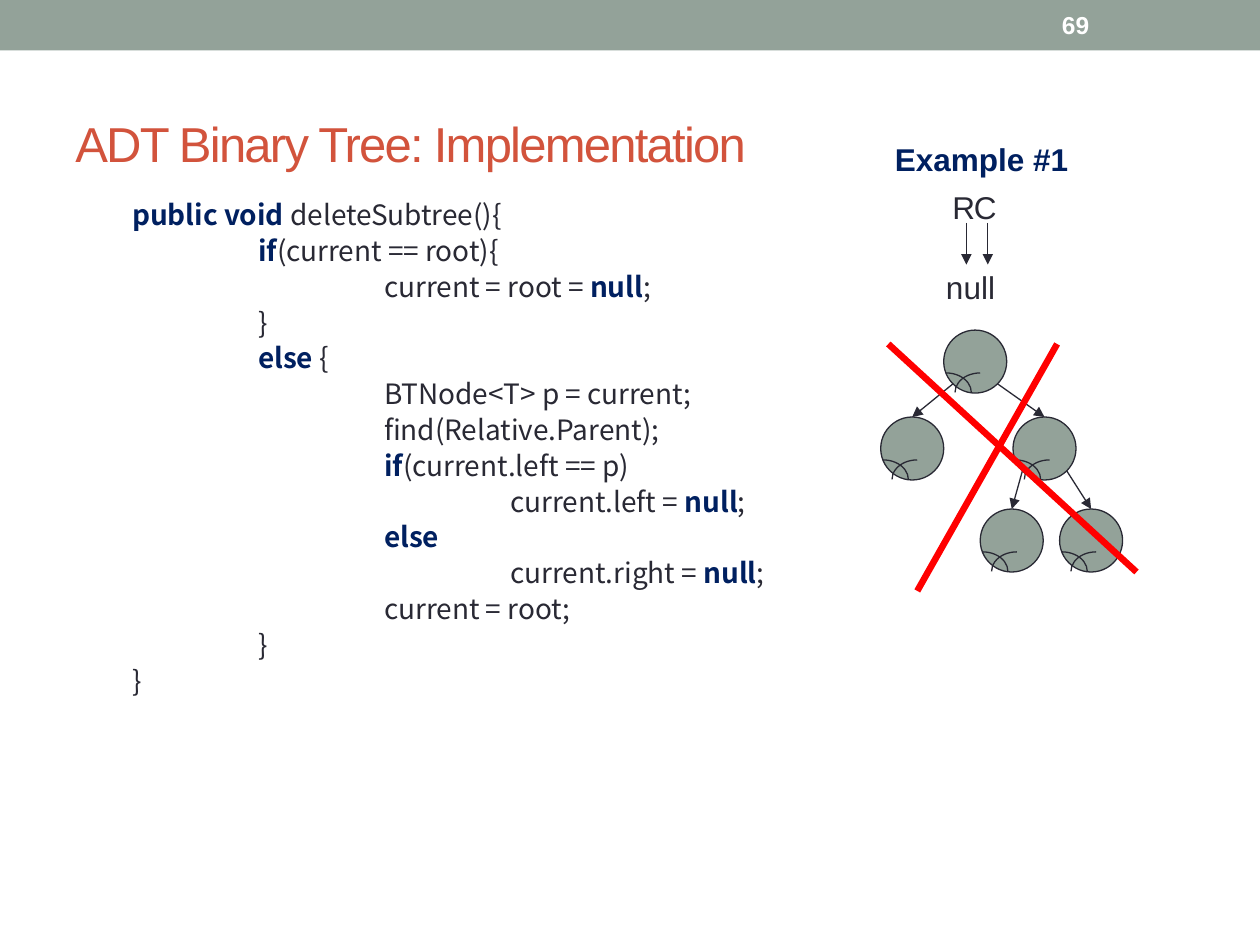
from lxml.etree import SubElement
from pptx import Presentation
from pptx.dml.color import RGBColor
from pptx.enum.shapes import MSO_CONNECTOR as LINE, MSO_SHAPE as SHAPE
from pptx.enum.text import MSO_ANCHOR as ANCHOR, PP_ALIGN as ALIGN
from pptx.oxml.ns import qn
from pptx.util import Inches, Pt

COLS, ROWS = 100, 75
CELL = Inches(0.1)
SAGE, INK, NAVY, RUST = "93A299", "292934", "002060", "D2533C"
WHITE, RED = "FFFFFF", "FF0000"
NODE = 5
CODE = [
    (1, "*public void *deleteSubtree(){"),
    (2, "*if*(current == root){"),
    (3, "current = root = *null*;"),
    (2, "}"),
    (2, "*else* {"),
    (3, "BTNode<T> p = current;"),
    (3, "find(Relative.Parent);"),
    (3, "*if*(current.left == p)"),
    (4, "current.left = *null*;"),
    (3, "*else*"),
    (4, "current.right = *null*;"),
    (3, "current = root;"),
    (2, "}"),
    (1, "}"),
]
TREE = {
    "root": (74.9, 26.2),
    "right": (80.4, 33.1),
    "right_left": (77.8, 40.4),
    "right_right": (84.1, 40.4),
    "left": (69.9, 33.1),
}
EDGES = [
    ("root", "right", 1),
    ("right", "right_left", -1),
    ("right", "right_right", 1),
    ("root", "left", -1),
]


def grid(*cells):
    """Turn grid columns and rows into slide lengths."""
    return [round(c * CELL) for c in cells]


def rgb(color):
    """Turn a hex string into a colour."""
    return RGBColor.from_string(color)


def style_run(r, size, color, bold=False, font="Arial"):
    """Set the font of a run."""
    r.font.size, r.font.name, r.font.bold = Pt(size), font, bold
    r.font.color.rgb = rgb(color)


def add_label(slide, box, text, size, color, bold=False, wrap=False,
              anchor=ANCHOR.TOP, align=ALIGN.LEFT, spacing=0):
    """Add a one-line text box."""
    tf = slide.shapes.add_textbox(*grid(*box)).text_frame
    tf.text, tf.word_wrap, tf.vertical_anchor = text, wrap, anchor
    p = tf.paragraphs[0]
    p.alignment = align
    r = p.runs[0]
    style_run(r, size, color, bold)
    if spacing:
        r.font._element.set("spc", str(spacing * 100))


def add_code(slide, box, lines):
    """Add tab-indented code whose starred words are bold keywords."""
    tf = slide.shapes.add_textbox(*grid(*box)).text_frame
    tf.word_wrap = True
    for i, (depth, line) in enumerate(lines):
        p = tf.paragraphs[0] if i == 0 else tf.add_paragraph()
        p.line_spacing, p.space_before = 0.9, Pt(3.2)
        pPr = p._p.get_or_add_pPr()
        pPr.set("marL", str(Inches(0.2)))
        pPr.set("indent", str(-Inches(0.2)))
        pPr.set("defTabSz", str(Inches(1)))
        for j, part in enumerate(("\t" * depth + line).split("*")):
            if part:
                r = p.add_run()
                r.text = part
                keyword = j % 2 == 1
                style_run(r, 16, NAVY if keyword else INK, keyword,
                          "Noto Sans CJK SC")


def add_figure(shapes, kind, box, fill=None, line=None):
    """Add a preset shape with a plain fill and outline."""
    sp = shapes.add_shape(kind, *grid(*box))
    sp.shadow.inherit = False
    if fill:
        sp.fill.solid()
        sp.fill.fore_color.rgb = rgb(fill)
    else:
        sp.fill.background()
    if line:
        sp.line.color.rgb, sp.line.width = rgb(line), Pt(0.75)
    else:
        sp.line.fill.background()
    return sp


def add_node(slide, left, top):
    """Add a tree node: a circle with two facing arcs."""
    shapes = slide.shapes.add_group_shape().shapes
    add_figure(shapes, SHAPE.OVAL, (left, top, NODE, NODE), SAGE, INK)
    add_figure(shapes, SHAPE.ARC, (left - 1.8, top + 3.4, 4, 3.1), line=INK)
    sp = add_figure(shapes, SHAPE.ARC, (left + 0.9, top + 3.4, 4, 3.1), line=INK)
    sp.adjustments[0], sp.adjustments[1] = 108, 162


def add_line(slide, start, end, color=INK, width=0.75, arrow=True):
    """Add a straight line, with an arrowhead at its end if wanted."""
    sp = slide.shapes.add_connector(LINE.STRAIGHT, *grid(*start, *end))
    sp.line.color.rgb, sp.line.width = rgb(color), Pt(width)
    if arrow:
        SubElement(sp.line._get_or_add_ln(), qn("a:tailEnd"), type="triangle")
    SubElement(sp._element.spPr, qn("a:effectLst"))


def add_tree(slide):
    """Add the nodes and the edges from each parent to its children."""
    for corner in TREE.values():
        add_node(slide, *corner)
    for parent, child, side in EDGES:
        (px, py), (cx, cy) = TREE[parent], TREE[child]
        half = NODE / 2
        reach = 0.7 * half
        add_line(slide, (px + half + side * reach, py + half + reach),
                 (cx + half, cy))


def main():
    """Build the slide."""
    prs = Presentation()
    prs.slide_width, prs.slide_height = grid(COLS, ROWS)
    slide = prs.slides.add_slide(prs.slide_layouts[6])
    add_figure(slide.shapes, SHAPE.RECTANGLE, (0, 0, COLS, 4), SAGE)
    add_label(slide, (83.3, 0.2, 11.7, 3.6), "69", 14, WHITE, True, True,
              ANCHOR.MIDDLE)
    add_code(slide, (7.5, 15.5, 84.2, 48.3), CODE)
    add_label(slide, (5, 5.9, 90, 10.8), "ADT Binary Tree: Implementation",
              28, RUST, wrap=True, anchor=ANCHOR.MIDDLE, spacing=-1)
    for name, left, width, x in (("R", 74.6, 3.6, 76.7), ("C", 76.3, 3.8, 78.4)):
        add_label(slide, (left, 14.4, width, 4), name, 18, INK)
        add_line(slide, (x, 17.7), (x, 21))
    add_tree(slide)
    add_label(slide, (69.7, 10.6, 16.4, 4), "Example #1", 18, NAVY, True,
              align=ALIGN.CENTER)
    add_label(slide, (74.1, 20.8, 6.6, 4), "null", 18, INK)
    for start, end in (((70.5, 27.3), (90.2, 45.4)), ((83.9, 27.3), (72.8, 46.9))):
        add_line(slide, start, end, RED, 3.75, arrow=False)
    prs.save("out.pptx")


if __name__ == "__main__":
    main()
